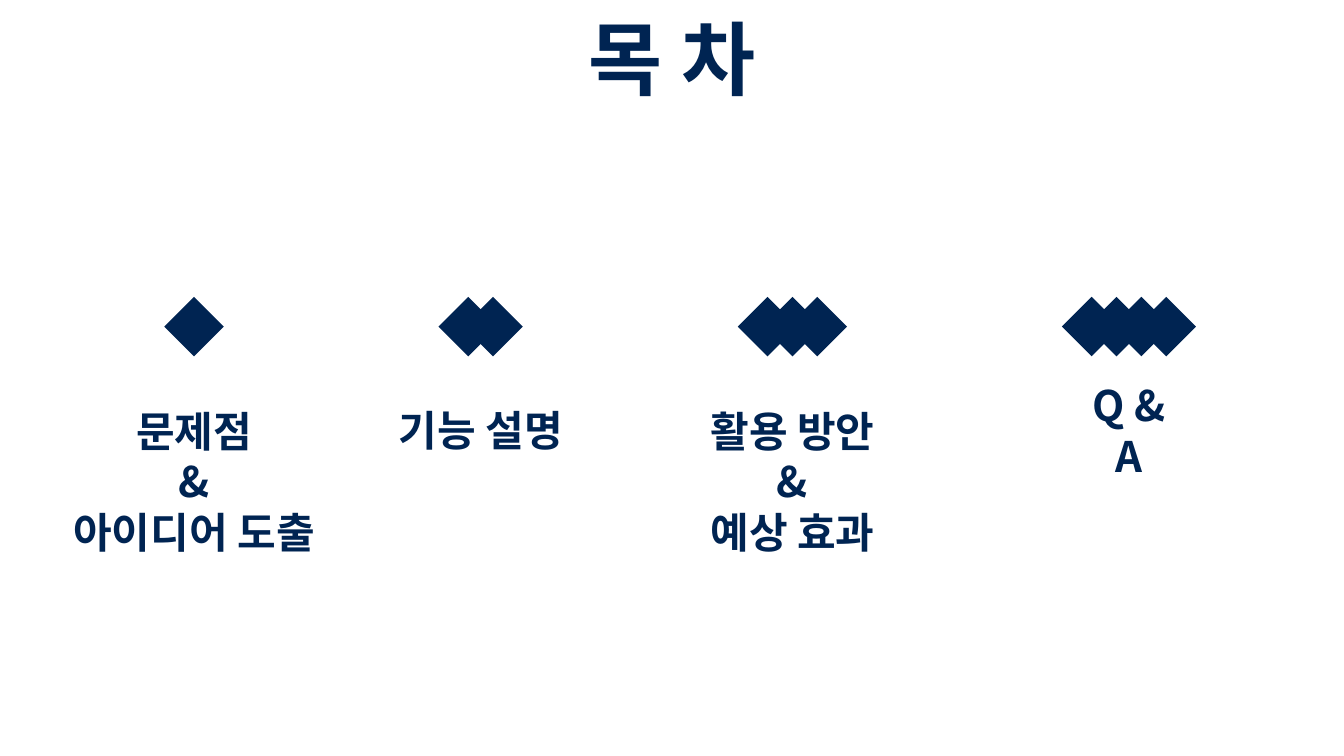
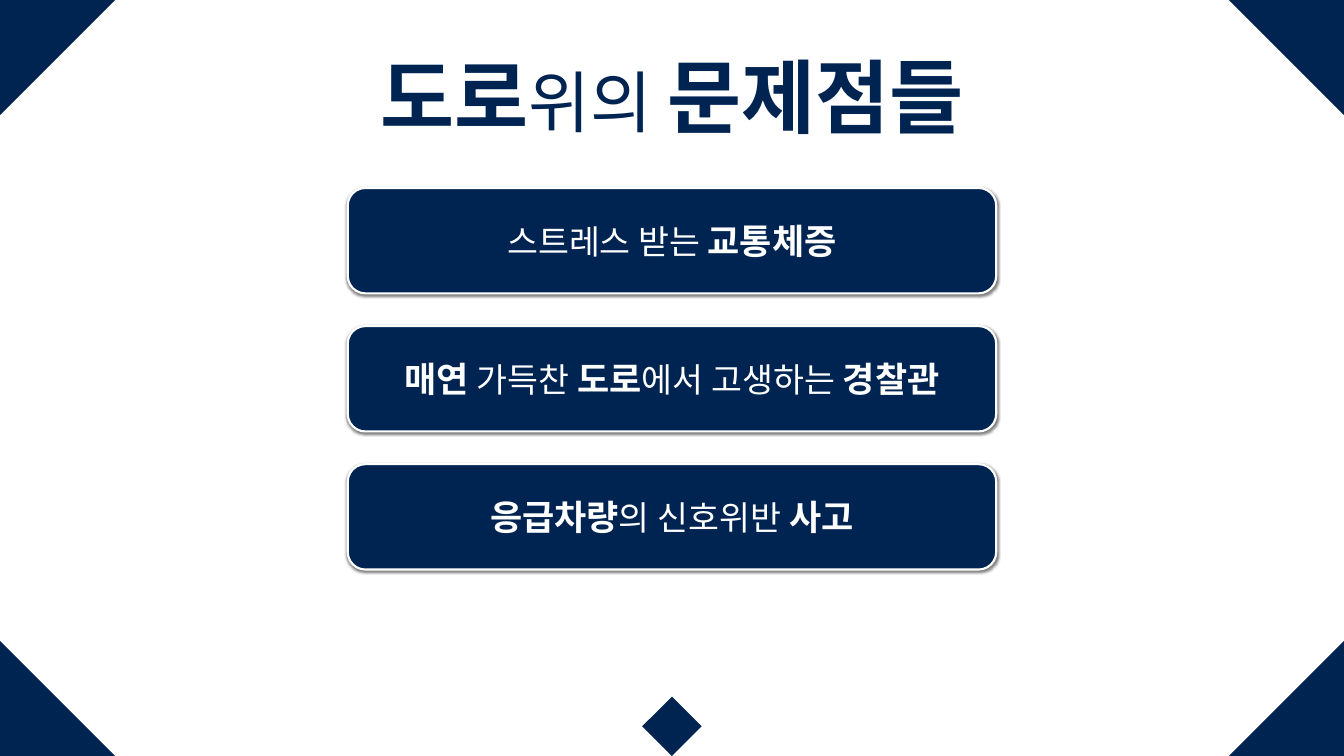
import pptx
import pptx.dml.color
import pptx.enum.shapes
import pptx.enum.text
import pptx.oxml.ns
import pptx.util
from lxml import etree

SHAPES = pptx.enum.shapes.MSO_SHAPE
COLORS = {"navy": "002452", "white": "FFFFFF", "shadow": "000000"}
FONT = "Noto Sans CJK KR"
COLUMNS, ROWS = 80, 45
CENTER = COLUMNS / 2
DIAMOND, DIAMOND_STEP = 3.54, 1.48
TITLE_HEIGHT = 6.27


class Deck:
    """Hold the style and the current slide, measured on an 80 by 45 grid."""

    def __init__(self):
        self.presentation = pptx.Presentation()
        self.presentation.slide_width = pptx.util.Inches(26.67)
        self.presentation.slide_height = pptx.util.Inches(15)
        self.slide = None

    def x(self, columns):
        return round(self.presentation.slide_width * columns / COLUMNS)

    def y(self, rows):
        return round(self.presentation.slide_height * rows / ROWS)

    def box(self, left, top, width, height):
        return self.x(left), self.y(top), self.x(width), self.y(height)

    def color(self, name):
        return pptx.dml.color.RGBColor.from_string(COLORS[name])

    def new_slide(self, title_runs, top, width):
        self.slide = self.presentation.slides.add_slide(self.presentation.slide_layouts[5])
        title = self.slide.shapes.title
        title.left, title.top, title.width, title.height = self.box(
            CENTER - width / 2, top, width, TITLE_HEIGHT)
        self.fit(title.text_frame)
        self.add_lines(title.text_frame, [title_runs], "navy")

    def fit(self, frame):
        frame.margin_left = frame.margin_right = self.x(0.24)
        frame.margin_top = frame.margin_bottom = self.y(0.24)
        frame.word_wrap = False
        frame.auto_size = pptx.enum.text.MSO_AUTO_SIZE.SHAPE_TO_FIT_TEXT

    def add_lines(self, frame, lines, color):
        frame.vertical_anchor = pptx.enum.text.MSO_ANCHOR.MIDDLE
        for index, runs in enumerate(lines):
            paragraph = frame.add_paragraph() if index else frame.paragraphs[0]
            paragraph.alignment = pptx.enum.text.PP_ALIGN.CENTER
            for text, size, bold in runs:
                run = paragraph.add_run()
                run.text = text
                run.font.size = pptx.util.Pt(size)
                run.font.bold = bold
                run.font.color.rgb = self.color(color)
                run.font.name = FONT
                etree.SubElement(run.font._element, pptx.oxml.ns.qn("a:ea"), typeface=FONT)

    def paint(self, shape):
        shape.shadow.inherit = False
        shape.fill.solid()
        shape.fill.fore_color.rgb = self.color("navy")
        shape.line.fill.background()

    def diamonds(self, center, top, count=1):
        shapes = self.slide.shapes
        if count > 1:
            shapes = shapes.add_group_shape().shapes
        first = center - (DIAMOND + (count - 1) * DIAMOND_STEP) / 2
        for index in range(count):
            self.paint(shapes.add_shape(
                SHAPES.DIAMOND,
                *self.box(first + index * DIAMOND_STEP, top, DIAMOND, DIAMOND)))

    def label(self, center, top, width, lines):
        height = 0.48 + 3.03 * len(lines)
        label = self.slide.shapes.add_textbox(
            *self.box(center - width / 2, top, width, height))
        self.fit(label.text_frame)
        self.add_lines(label.text_frame, [[(line, 60, True)] for line in lines], "navy")

    def corners(self, size):
        group = self.slide.shapes.add_group_shape()
        for edge_x, inward_x in ((0, size), (COLUMNS, COLUMNS - size)):
            for edge_y, inward_y in ((0, size), (ROWS, ROWS - size)):
                outline = group.shapes.build_freeform(self.x(edge_x), self.y(inward_y))
                outline.add_line_segments([
                    (self.x(edge_x), self.y(edge_y)),
                    (self.x(inward_x), self.y(edge_y))])
                self.paint(outline.convert_to_shape())

    def panel(self, left, top, width, height, runs):
        panel = self.slide.shapes.add_shape(
            SHAPES.ROUNDED_RECTANGLE, *self.box(left, top, width, height))
        self.paint(panel)
        panel.line.color.rgb = self.color("white")
        panel.line.width = pptx.util.Pt(3)
        qn = pptx.oxml.ns.qn
        effects = panel._element.spPr.find(qn("a:effectLst"))
        shadow = etree.SubElement(
            effects, qn("a:outerShdw"), blurRad=str(pptx.util.Pt(4)),
            dist=str(pptx.util.Pt(2)), dir="5400000", rotWithShape="0")
        tint = etree.SubElement(shadow, qn("a:srgbClr"), val=COLORS["shadow"])
        etree.SubElement(tint, qn("a:alpha"), val="50000")
        self.add_lines(panel.text_frame, [runs], "white")


def contents(deck):
    deck.new_slide([("목 차", 115, True)], 0.3, 11.25)
    chapters = [
        (11.55, 16.2, ["문제점", "&", "아이디어 도출"]),
        (28.61, 11.13, ["기능 설명"]),
        (47.17, 11.13, ["활용 방안", "&", "예상 효과"]),
        (67.2, 6.66, ["Q & A"]),
    ]
    for number, (center, width, lines) in enumerate(chapters, 1):
        deck.diamonds(center, 17.67, number)
        deck.label(center, 23.85, width, lines)


def road_problems(deck):
    deck.new_slide(
        [("도로", 115, True), ("위의 ", 96, False), ("문제점들", 115, True)], 2.55, 38.5)
    deck.corners(6.85)
    problems = [
        [("스트레스 받는 ", 48, False), ("교통체증", 50, True)],
        [("매연 ", 50, True), ("가득찬", 48, False), (" ", 50, False),
         ("도로", 50, True), ("에서", 48, False), (" ", 50, False),
         ("고생하는", 48, False), (" ", 50, False), ("경찰관", 50, True)],
        [("응급차량", 50, True), ("의", 48, False), (" ", 50, True),
         ("신호위반", 48, False), (" 사고", 50, True)],
    ]
    for row, runs in enumerate(problems):
        deck.panel(20.7, 11.19 + row * 8.22, 38.6, 6.27, runs)
    deck.diamonds(CENTER, ROWS - DIAMOND)


def main():
    deck = Deck()
    contents(deck)
    road_problems(deck)
    deck.presentation.save("out.pptx")


if __name__ == "__main__":
    main()
